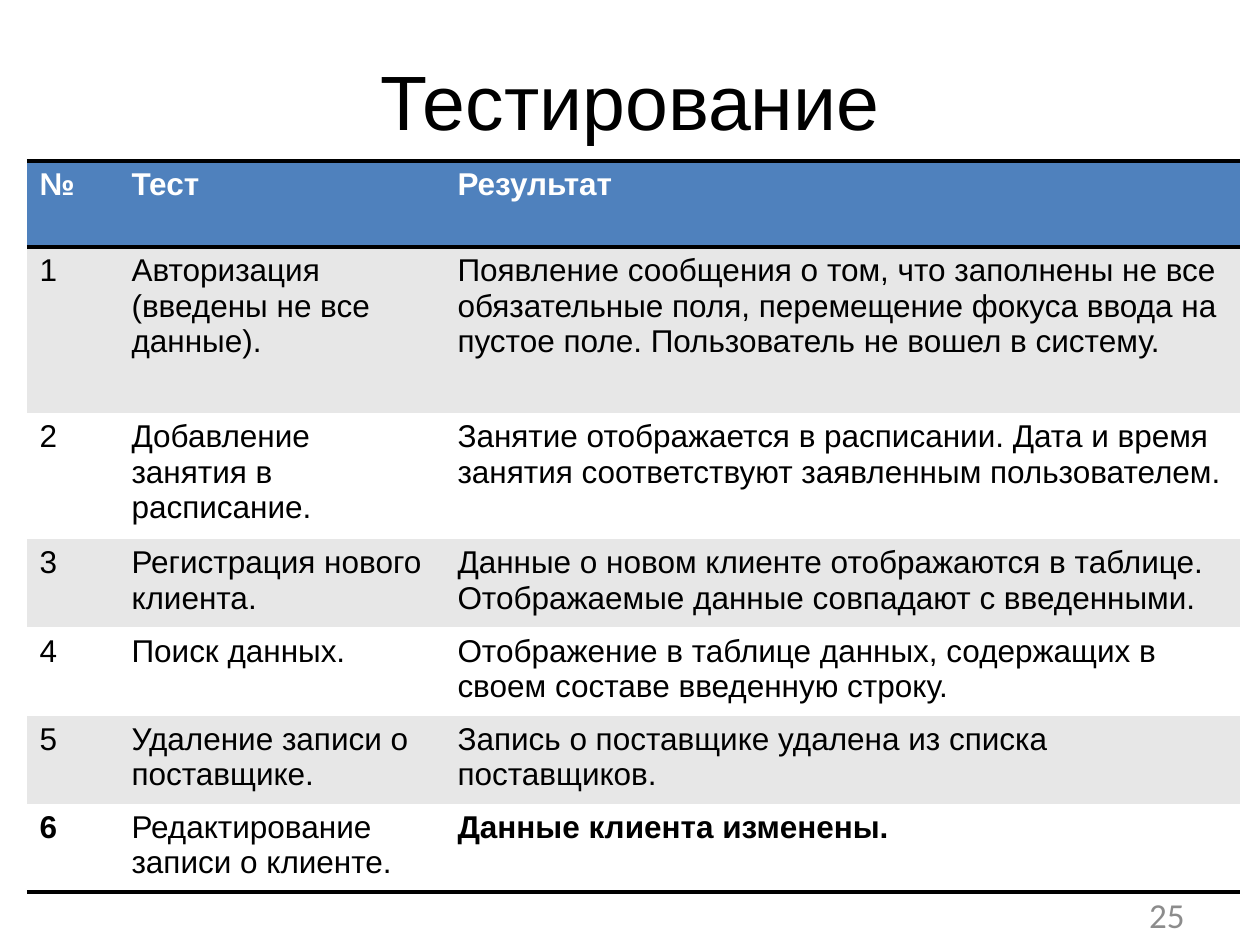
from lxml.etree import SubElement
from pptx import Presentation
from pptx.dml.color import RGBColor
from pptx.enum.text import MSO_ANCHOR, PP_ALIGN
from pptx.oxml.ns import qn
from pptx.util import Emu, Pt

BLACK = RGBColor(0x00, 0x00, 0x00)
WHITE = RGBColor(0xFF, 0xFF, 0xFF)
BLUE = RGBColor(0x4F, 0x81, 0xBD)
BAND = RGBColor(0xE7, 0xE7, 0xE7)
GRAY = RGBColor(0x8C, 0x8C, 0x8C)
PLAIN = "{2D5ABB26-0587-4C30-8999-92F81FD0307C}"

COLS = [92, 326, 795]
ROWS = [86, 166, 117, 87, 87, 87, 72]
TESTS = [
    ("№", "Тест", "Результат"),
    ("1", "Авторизация (введены не все данные).",
     "Появление сообщения о том, что заполнены не все обязательные поля, "
     "перемещение фокуса ввода на пустое поле. Пользователь не вошел в систему."),
    ("2", "Добавление занятия в расписание.",
     "Занятие отображается в расписании. Дата и время занятия "
     "соответствуют заявленным пользователем."),
    ("3", "Регистрация нового клиента.",
     "Данные о новом клиенте отображаются в таблице. "
     "Отображаемые данные совпадают с введенными."),
    ("4", "Поиск данных.",
     "Отображение в таблице данных, содержащих в своем составе введенную строку."),
    ("5", "Удаление записи о поставщике.",
     "Запись о поставщике удалена из списка поставщиков."),
    ("6", "Редактирование записи о клиенте.", "Данные клиента изменены."),
]


def px(num):
    return Emu(round(num * 914400 / 126))


class Deck:
    def __init__(self, wide, high):
        self.show = Presentation()
        self.show.slide_width = px(wide)
        self.show.slide_height = px(high)
        self.slide = self.show.slides.add_slide(self.show.slide_layouts[5])

    def style(self, frame, text, size, color, bold=False, face="Arial", align=None):
        frame.text = text
        for para in frame.paragraphs:
            para.alignment = align
            for run in para.runs:
                font = run.font
                font.name, font.size, font.bold = face, Pt(size), bold
                font.color.rgb = color

    def title(self, box, text):
        shape = self.slide.shapes.title
        shape.left, shape.top, shape.width, shape.height = map(px, box)
        shape.text_frame.vertical_anchor = MSO_ANCHOR.MIDDLE
        self.style(shape.text_frame, text, 44, BLACK, align=PP_ALIGN.CENTER)

    def label(self, box, text):
        frame = self.slide.shapes.add_textbox(*map(px, box)).text_frame
        frame.word_wrap = True
        frame.vertical_anchor = MSO_ANCHOR.MIDDLE
        self.style(frame, text, 20, GRAY, face="Calibri", align=PP_ALIGN.RIGHT)

    def edge(self, cell, side):
        props = cell._tc.get_or_add_tcPr()
        line = SubElement(props, qn(f"a:{side}"), w=str(Pt(2)))
        fill = SubElement(line, qn("a:solidFill"))
        SubElement(fill, qn("a:srgbClr"), val=str(BLACK))

    def table(self, left, top, cols, rows, data):
        shape = self.slide.shapes.add_table(
            len(rows), len(cols), px(left), px(top), px(sum(cols)), px(sum(rows)))
        table = shape.table
        table.horz_banding = False
        table._tbl.tblPr.find(qn("a:tableStyleId")).text = PLAIN
        for col, wide in zip(table.columns, cols):
            col.width = px(wide)
        for row, high in zip(table.rows, rows):
            row.height = px(high)
        last = len(rows) - 1
        for r, line in enumerate(data):
            back = BLUE if r == 0 else BAND if r % 2 else WHITE
            for c, text in enumerate(line):
                cell = table.cell(r, c)
                if r == 0:
                    self.edge(cell, "lnT")
                if r in (0, last):
                    self.edge(cell, "lnB")
                cell.fill.solid()
                cell.fill.fore_color.rgb = back
                bold = r == 0 or (r == last and c != 1)
                self.style(cell.text_frame, text, 18, BLACK if r else WHITE, bold)


def main():
    deck = Deck(1260, 945)
    deck.title((63, 38, 1134, 123), "Тестирование")
    deck.label((903, 890, 294, 50), "25")
    deck.table(27, 161, COLS, ROWS, TESTS)
    deck.show.save("out.pptx")


if __name__ == "__main__":
    main()
